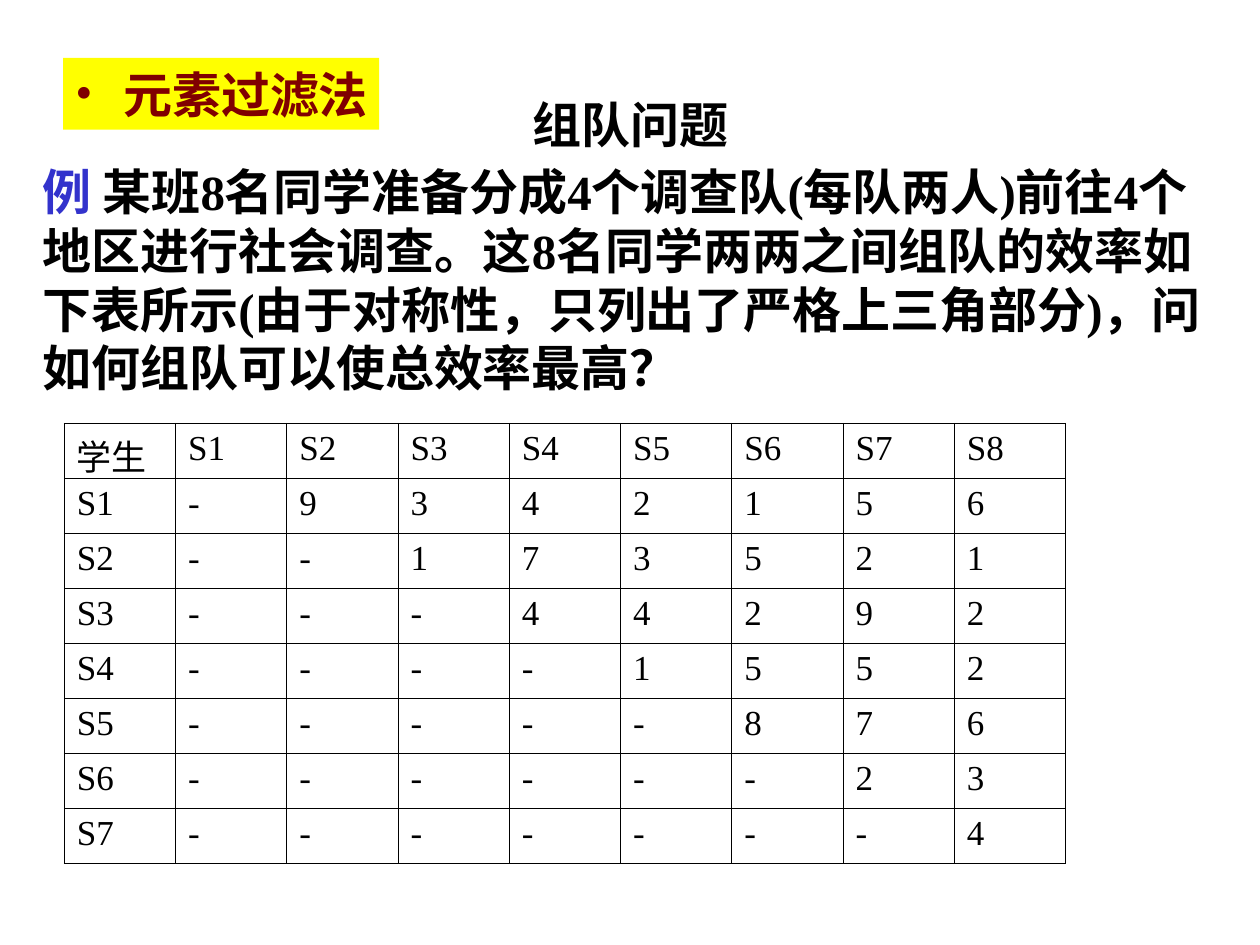
"""Build the team-forming slide with its pairwise efficiency table."""
from lxml import etree
from pptx import Presentation, util as u
from pptx.dml.color import RGBColor
from pptx.enum import shapes, text
from pptx.oxml import ns

I = u.Inches


def style(r, size, color="000000", bold=False):
    r.font.name = "Times New Roman"
    r.font.size = u.Pt(size)
    r.font.bold = bold
    r.font.color.rgb = RGBColor.from_string(color)


def add_xml(parent, tag, **attrs):
    return etree.SubElement(parent, ns.qn(tag), attrs)


prs = Presentation()
prs.slide_width, prs.slide_height = I(10), I(7.5)
s = prs.slides.add_slide(prs.slide_layouts[5])

title = s.shapes.title
title.left, title.top, title.width, title.height = I(2.64), I(0.68), I(4.73), I(0.61)
title.text_frame.text = "组队问题"
title.text_frame.vertical_anchor = text.MSO_ANCHOR.MIDDLE
p = title.text_frame.paragraphs[0]
p.alignment = text.PP_ALIGN.CENTER
style(p.runs[0], 28, bold=True)

problem = s.shapes.add_textbox(I(0.24), I(1.23), I(9.57), I(1.97))
tf = problem.text_frame
tf.word_wrap = True
tf.vertical_anchor = text.MSO_ANCHOR.MIDDLE
question = (
    " 某班8名同学准备分成4个调查队(每队两人)前往4个地区进行社会调查。"
    "这8名同学两两之间组队的效率如下表所示"
    "(由于对称性，只列出了严格上三角部分)，问如何组队可以使总效率最高？"
)
for words, color in [("例", "3333CC"), (question, "000000")]:
    r = tf.paragraphs[0].add_run()
    r.text = words
    style(r, 28, color, True)

upper = ["9342156", "173521", "44292", "1552", "876", "23", "4"]
students = [f"S{i}" for i in range(1, 9)]
rows = [["学生"] + students]
for i, values in enumerate(upper):
    rows.append([students[i]] + ["-"] * (i + 1) + list(values))

frame = s.shapes.add_table(len(rows), 9, I(0.51), I(3.36), I(7.95), I(3.49))
table = frame.table
table.first_row = table.horz_banding = False
for row, values in zip(table.rows, rows):
    for cell, value in zip(row.cells, values):
        cell.text = value
        style(cell.text_frame.paragraphs[0].runs[0], 20)
        tcPr = cell._tc.get_or_add_tcPr()
        for side in ("a:lnL", "a:lnR", "a:lnT", "a:lnB"):
            ln = add_xml(tcPr, side, w=str(u.Pt(0.45)))
            add_xml(add_xml(ln, "a:solidFill"), "a:srgbClr", val="000000")
        cell.fill.background()

method = s.shapes.add_shape(shapes.MSO_SHAPE.RECTANGLE, I(0.5), I(0.46), I(2.51), I(0.57))
method.shadow.inherit = False
method.fill.solid()
method.fill.fore_color.rgb = RGBColor.from_string("FFFF00")
method.line.fill.background()
tf = method.text_frame
tf.word_wrap = False
tf.vertical_anchor = text.MSO_ANCHOR.TOP
tf.text = "元素过滤法"
p = tf.paragraphs[0]
p.alignment = text.PP_ALIGN.LEFT
p.space_before = u.Pt(7)
style(p.runs[0], 28, "800000", True)
pPr = p._p.get_or_add_pPr()
pPr.set("marL", str(I(0.38)))
pPr.set("indent", str(-I(0.38)))
add_xml(add_xml(pPr, "a:buClr"), "a:srgbClr", val="800000")
add_xml(pPr, "a:buFont", typeface="Times New Roman")
add_xml(pPr, "a:buChar", char="•")

prs.save("out.pptx")
